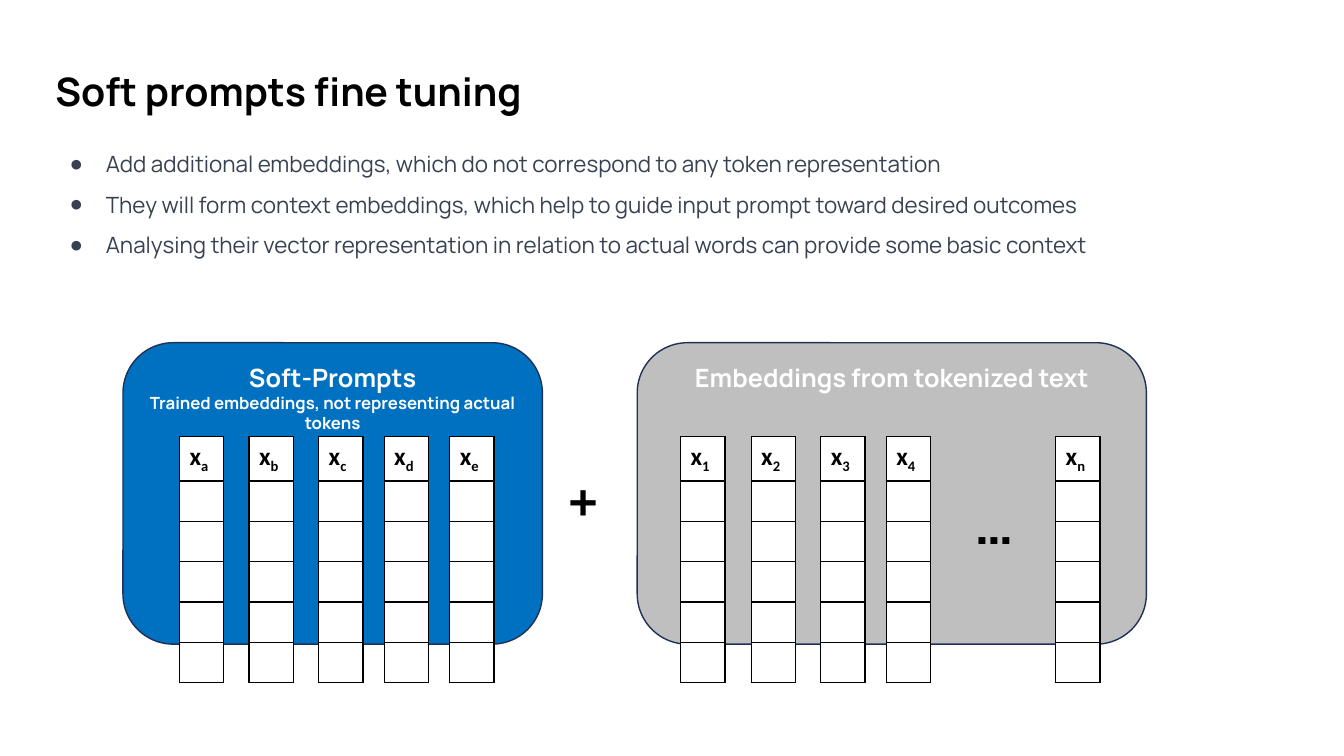
"""Build a slide on soft prompts fine tuning."""
from lxml.etree import SubElement
from pptx import Presentation
from pptx.dml.color import RGBColor
from pptx.enum.shapes import MSO_SHAPE as Shape
from pptx.enum.text import MSO_ANCHOR as Anchor, MSO_AUTO_SIZE as AutoSize, PP_ALIGN as Align
from pptx.oxml.ns import qn
from pptx.util import Pt

PX = 9144
COLORS = {"black": "000000", "white": "FFFFFF", "slate": "374151",
          "navy": "1E3256", "blue": "0070C0", "gray": "BFBFBF"}
SANS, VECTOR_FONT = "Manrope", "Calibri"

TITLE = ("Soft prompts fine tuning", (45, 62, 1244, 57))
BULLETS_BOX = (45, 126, 1278, 128)
BULLETS = [
    "Add additional embeddings, which do not correspond to any token representation",
    "They will form context embeddings, which help to guide input prompt toward desired outcomes",
    "Analysing their vector representation in relation to actual words can provide some basic context",
]
PANELS = [
    {"box": (632, 340, 505, 299), "fill": "gray",
     "lines": [("Embeddings from tokenized text", 18)]},
    {"box": (122, 340, 416, 299), "fill": "blue",
     "lines": [("Soft-Prompts", 18),
               ("Trained embeddings, not representing actual tokens", 12)]},
]
VECTORS = {"a": 178, "b": 247, "c": 316, "d": 381, "e": 446,
           "1": 675, "2": 745, "3": 814, "4": 879, "n": 1047}
VECTOR_TOP, VECTOR_WIDTH, ROW_HEIGHT, ROWS = 433, 44, 40, 6
SYMBOLS = [("+", (553, 459, 56, 77)), ("…", (957, 480, 56, 77))]


def emu(box):
    return [length * PX for length in box]


def rgb(name):
    return RGBColor.from_string(COLORS[name])


def add_run(paragraph, text, size, color, bold=True, font=SANS):
    run = paragraph.add_run()
    run.text = text
    run.font.size, run.font.name, run.font.bold = Pt(size), font, bold
    run.font.color.rgb = rgb(color)
    return run


def place(shape, box):
    shape.left, shape.top, shape.width, shape.height = emu(box)
    frame = shape.text_frame
    frame.word_wrap, frame.vertical_anchor = True, Anchor.TOP
    frame.auto_size = AutoSize.SHAPE_TO_FIT_TEXT
    return frame


def add_bullet(paragraph, text, space_before):
    paragraph.line_spacing, paragraph.space_before = 1.5, Pt(space_before)
    properties = paragraph._p.get_or_add_pPr()
    properties.set("marL", str(50 * PX))
    properties.set("indent", str(-36 * PX))
    bullet_color = SubElement(properties, qn("a:buClr"))
    SubElement(bullet_color, qn("a:srgbClr"), val=COLORS["slate"])
    SubElement(properties, qn("a:buChar"), char="●")
    add_run(paragraph, text, 16, "slate", bold=False)


def add_panel(slide, panel):
    shape = slide.shapes.add_shape(Shape.ROUNDED_RECTANGLE, *emu(panel["box"]))
    shape.shadow.inherit = False
    shape.fill.solid()
    shape.fill.fore_color.rgb = rgb(panel["fill"])
    shape.line.color.rgb, shape.line.width = rgb("navy"), Pt(1)
    shape.text_frame.vertical_anchor = Anchor.TOP
    paragraph = shape.text_frame.paragraphs[0]
    paragraph.alignment = Align.CENTER
    for index, (text, size) in enumerate(panel["lines"]):
        if index:
            paragraph.add_line_break()
        add_run(paragraph, text, size, "white")


def style_cell(cell):
    properties = cell._tc.get_or_add_tcPr()
    for side in ("lnL", "lnR", "lnT", "lnB"):
        border = SubElement(properties, qn(f"a:{side}"), w=str(Pt(1)))
        fill = SubElement(border, qn("a:solidFill"))
        SubElement(fill, qn("a:srgbClr"), val=COLORS["black"])
    cell.fill.solid()
    cell.fill.fore_color.rgb = rgb("white")


def add_vector(slide, subscript, left):
    box = emu((left, VECTOR_TOP, VECTOR_WIDTH, ROW_HEIGHT * ROWS))
    table = slide.shapes.add_table(ROWS, 1, *box).table
    table.first_row = table.horz_banding = False
    for cell in table.iter_cells():
        style_cell(cell)
    paragraph = table.cell(0, 0).text_frame.paragraphs[0]
    add_run(paragraph, "x", 18, "black", font=VECTOR_FONT)
    index = add_run(paragraph, subscript, 18, "black", font=VECTOR_FONT)
    index._r.get_or_add_rPr().set("baseline", "-25000")


def main():
    presentation = Presentation()
    presentation.slide_width, presentation.slide_height = 1333 * PX, 750 * PX
    slide = presentation.slides.add_slide(presentation.slide_layouts[1])

    text, box = TITLE
    heading = place(slide.shapes.title, box).paragraphs[0]
    heading.alignment = Align.LEFT
    add_run(heading, text, 28, "black")

    body = place(slide.placeholders[1], BULLETS_BOX)
    body.margin_left = body.margin_right = body.margin_top = body.margin_bottom = 10 * PX
    for index, text in enumerate(BULLETS):
        paragraph = body.add_paragraph() if index else body.paragraphs[0]
        add_bullet(paragraph, text, 0 if index else 15)

    for panel in PANELS:
        add_panel(slide, panel)
    for subscript, left in VECTORS.items():
        add_vector(slide, subscript, left)
    for symbol, box in SYMBOLS:
        frame = place(slide.shapes.add_textbox(*emu(box)), box)
        add_run(frame.paragraphs[0], symbol, 40, "black")

    presentation.save("out.pptx")


if __name__ == "__main__":
    main()
